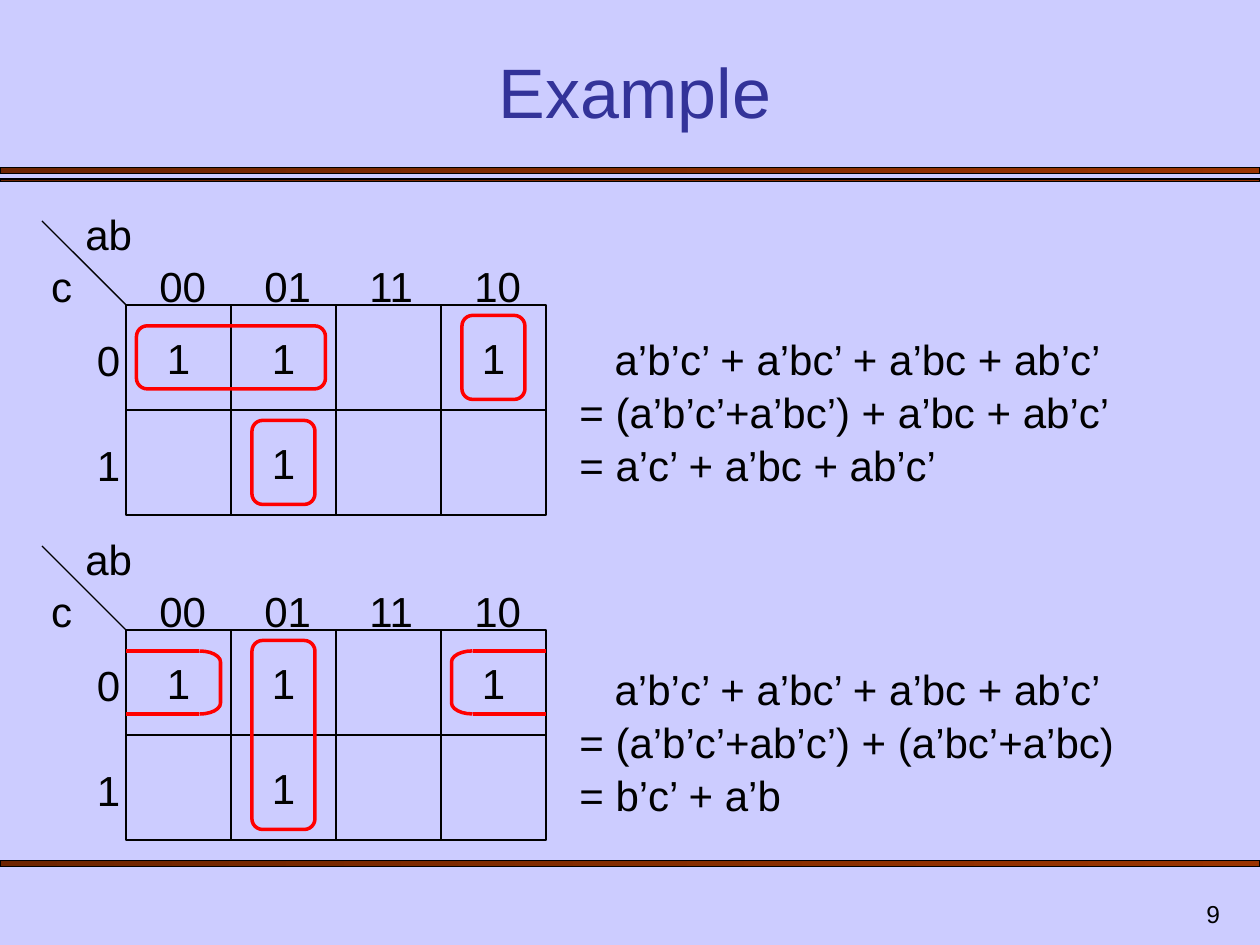
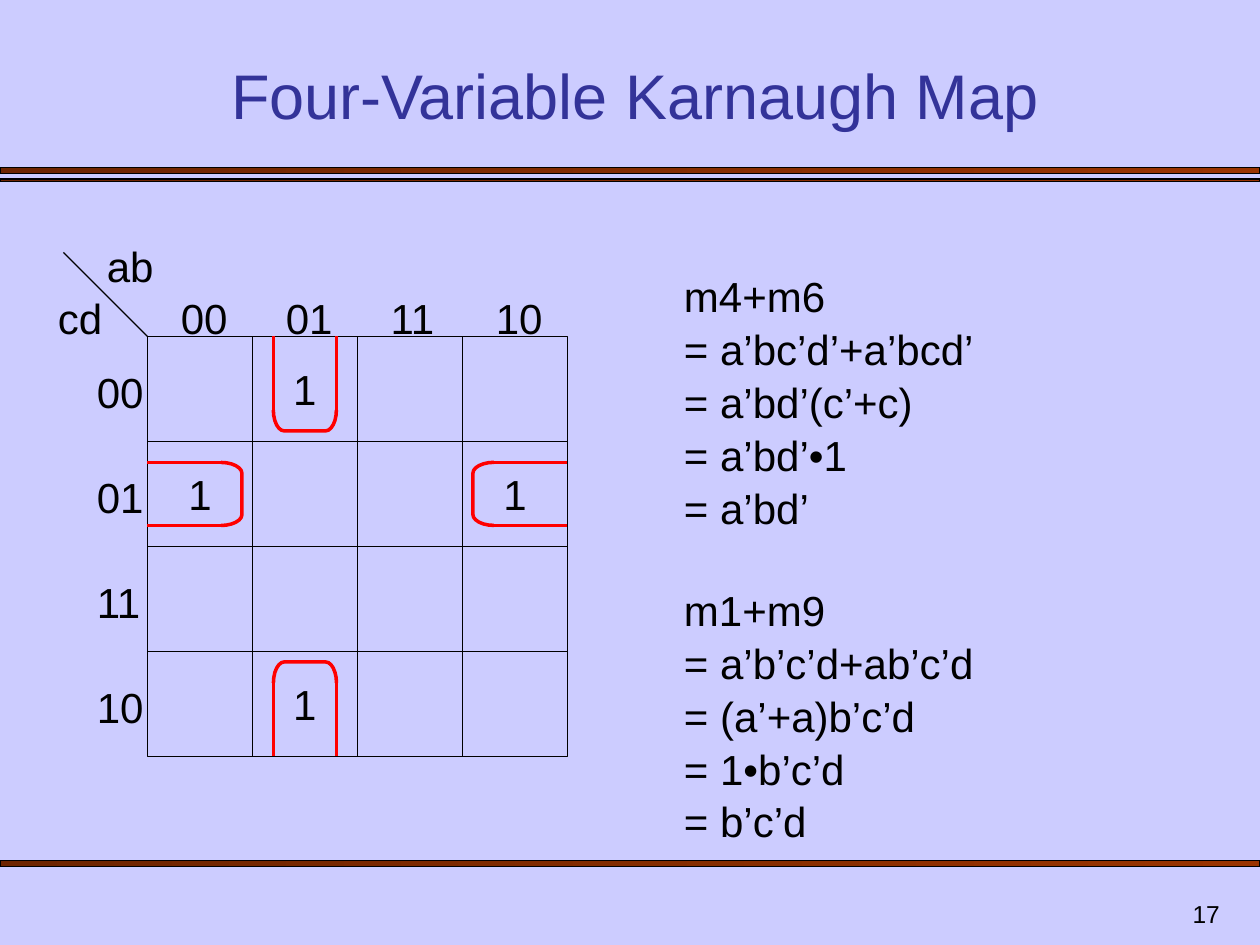
from lxml import etree
from pptx import Presentation
from pptx.dml.color import RGBColor
from pptx.enum.shapes import MSO_CONNECTOR, MSO_SHAPE
from pptx.enum.text import MSO_ANCHOR, MSO_AUTO_SIZE, PP_ALIGN
from pptx.oxml.ns import qn
from pptx.util import Inches, Pt

COLORS = {
    "background": "CCCCFF",
    "title": "333399",
    "text": "000000",
    "grid": "000000",
    "loop": "FF0000",
    "band_dark": "6D2400",
    "band_light": "993300",
}
FONT = "Arial"
CELL = 5 / 6
STEP = CELL / 5
GRAY_CODE = ["00", "01", "11", "10"]
ROW_LABEL_LEFT = 0.67
OPENINGS = {"right": (1, 0, 0), "down": (0, 1, 90), "left": (-1, 0, 180), "up": (0, -1, 270)}

# Cells are (column, row); a loop adds its column and row spans,
# an open loop the side on which it wraps around the map.
SLIDES = [
    {
        "title": "Example",
        "title_size": 40,
        "number": "9",
        "maps": [
            {
                "left": 1, "top": 2.42, "variable": "c", "variable_right": 0.67,
                "rows": ["0", "1"], "ones": [(0, 0), (1, 0), (3, 0), (1, 1)],
                "loops": [(1, 1, 1, 1), (0, 0, 2, 1), (3, 0, 1, 1)],
                "open_loops": [],
            },
            {
                "left": 1, "top": 5, "variable": "c", "variable_right": 0.67,
                "rows": ["0", "1"], "ones": [(0, 0), (1, 0), (3, 0), (1, 1)],
                "loops": [(1, 0, 1, 2)],
                "open_loops": [(3, 0, "right"), (0, 0, "left")],
            },
        ],
        "formula_indent": 0.28,
        "formulas": [
            (4.5, 2.58, 5.25, 1.3, ["a’b’c’ + a’bc’ + a’bc + ab’c’",
                                    "= (a’b’c’+a’bc’) + a’bc + ab’c’",
                                    "= a’c’ + a’bc + ab’c’"]),
            (4.5, 5.2, 5.25, 1.3, ["a’b’c’ + a’bc’ + a’bc + ab’c’",
                                   "= (a’b’c’+ab’c’) + (a’bc’+a’bc)",
                                   "= b’c’ + a’b"]),
        ],
    },
    {
        "title": "Four-Variable Karnaugh Map",
        "title_size": 36,
        "number": "17",
        "maps": [
            {
                "left": 1.17, "top": 2.67, "variable": "cd", "variable_right": 0.91,
                "rows": GRAY_CODE, "ones": [(1, 0), (0, 1), (3, 1), (1, 3)],
                "loops": [],
                "open_loops": [(0, 1, "left"), (3, 1, "right"), (1, 3, "down"), (1, 0, "up")],
            },
        ],
        "formula_indent": 0,
        "formulas": [
            (5.33, 2.08, 3.75, 2.1, ["m4+m6", "= a’bc’d’+a’bcd’", "= a’bd’(c’+c)",
                                     "= a’bd’•1", "= a’bd’"]),
            (5.33, 4.57, 3.75, 2.1, ["m1+m9", "= a’b’c’d+ab’c’d", "= (a’+a)b’c’d",
                                     "= 1•b’c’d", "= b’c’d"]),
        ],
    },
]


def add_text(slide, left, top, width, height, lines, size=24, align=PP_ALIGN.LEFT):
    box = slide.shapes.add_textbox(Inches(left), Inches(top), Inches(width), Inches(height))
    frame = box.text_frame
    frame.word_wrap = True
    frame.text = "\n".join(lines)
    for paragraph in frame.paragraphs:
        paragraph.alignment = align
        paragraph.line_spacing = 1.05
        paragraph.font.name = FONT
        paragraph.font.size = Pt(size)
        paragraph.font.color.rgb = RGBColor.from_string(COLORS["text"])
    return frame


def add_line(slide, x1, y1, x2, y2, color, width):
    line = slide.shapes.add_connector(
        MSO_CONNECTOR.STRAIGHT, Inches(x1), Inches(y1), Inches(x2), Inches(y2))
    line.line.color.rgb = RGBColor.from_string(COLORS[color])
    line.line.width = Pt(width)
    etree.SubElement(line._element.spPr, qn("a:effectLst"))


presentation = Presentation()
presentation.slide_width = Inches(10)
presentation.slide_height = Inches(7.5)
master = presentation.slide_master
master.background.fill.solid()
master.background.fill.fore_color.rgb = RGBColor.from_string(COLORS["background"])
title_layout = presentation.slide_layouts[5]
slides = [presentation.slides.add_slide(title_layout) for _ in SLIDES]

# Bands are drawn on a slide, then moved to the master that both slides share.
for top, height in [(1.33, 0.05), (1.42, 0.02), (6.83, 0.05)]:
    band = slides[0].shapes.add_shape(
        MSO_SHAPE.RECTANGLE, 0, Inches(top), Inches(10), Inches(height))
    band.shadow.inherit = False
    band.fill.gradient()
    band.fill.gradient_angle = 0
    for stop, color in zip(band.fill.gradient_stops, ["band_dark", "band_light"]):
        stop.color.rgb = RGBColor.from_string(COLORS[color])
    band.line.color.rgb = RGBColor.from_string(COLORS["grid"])
    band.line.width = Pt(0.75)
    master.shapes.element.append(band._element)

for slide, content in zip(slides, SLIDES):
    title = slide.shapes.title
    title.left, title.top = Inches(0.58), Inches(0.42)
    title.width, title.height = Inches(8.92), Inches(0.68)
    title.text_frame.text = content["title"]
    title.text_frame.auto_size = MSO_AUTO_SIZE.NONE
    title.text_frame.vertical_anchor = MSO_ANCHOR.BOTTOM
    paragraph = title.text_frame.paragraphs[0]
    paragraph.alignment = PP_ALIGN.CENTER
    paragraph.font.name = FONT
    paragraph.font.size = Pt(content["title_size"])
    paragraph.font.color.rgb = RGBColor.from_string(COLORS["title"])

    number = add_text(slide, 7.7, 7, 2.08, 0.42, [content["number"]], 14, PP_ALIGN.RIGHT)
    number.vertical_anchor = MSO_ANCHOR.BOTTOM

    for karnaugh in content["maps"]:
        left, top = karnaugh["left"], karnaugh["top"]
        add_line(slide, left - 4 * STEP, top - 4 * STEP, left, top, "grid", 0.75)
        add_text(slide, left - 0.42, top - CELL, 0.67, 0.5, ["ab"])
        add_text(slide, karnaugh["variable_right"] - 0.58, top - 0.42, 0.58, 0.5,
                 [karnaugh["variable"]], align=PP_ALIGN.RIGHT)
        for column, label in enumerate(GRAY_CODE):
            add_text(slide, left + STEP + column * CELL, top - 0.42, 0.6, 0.5, [label])

        for row, label in enumerate(karnaugh["rows"]):
            add_text(slide, ROW_LABEL_LEFT, top + STEP + row * CELL, 0.6, 0.5, [label])
            for column in range(len(GRAY_CODE)):
                cell = slide.shapes.add_shape(
                    MSO_SHAPE.RECTANGLE, Inches(left + column * CELL),
                    Inches(top + row * CELL), Inches(CELL), Inches(CELL))
                cell.shadow.inherit = False
                cell.fill.background()
                cell.line.color.rgb = RGBColor.from_string(COLORS["grid"])
                cell.line.width = Pt(0.75)
                if (column, row) in karnaugh["ones"]:
                    cell.text_frame.text = "1"
                    paragraph = cell.text_frame.paragraphs[0]
                    paragraph.alignment = PP_ALIGN.CENTER
                    paragraph.font.name = FONT
                    paragraph.font.size = Pt(24)
                    paragraph.font.color.rgb = RGBColor.from_string(COLORS["text"])

        outlines = []
        for column, row, columns, rows in karnaugh["loops"]:
            inset_x, inset_y = (STEP / 2, STEP) if columns > 1 else (STEP, STEP / 2)
            loop = slide.shapes.add_shape(
                MSO_SHAPE.ROUNDED_RECTANGLE,
                Inches(left + column * CELL + inset_x), Inches(top + row * CELL + inset_y),
                Inches(columns * CELL - 2 * inset_x), Inches(rows * CELL - 2 * inset_y))
            loop.adjustments[0] = 0.17
            outlines.append(loop)

        for column, row, side in karnaugh["open_loops"]:
            dx, dy, rotation = OPENINGS[side]
            center_x = left + (column + 0.5) * CELL
            center_y = top + (row + 0.5) * CELL
            bracket = slide.shapes.add_shape(
                MSO_SHAPE.LEFT_BRACKET,
                Inches(center_x - 1.5 * STEP * dx - STEP / 2),
                Inches(center_y - 1.5 * STEP * dy - 1.5 * STEP),
                Inches(STEP), Inches(3 * STEP))
            bracket.rotation = rotation
            bracket.adjustments[0] = 0.52
            outlines.append(bracket)
            for offset in (-1.5 * STEP, 1.5 * STEP):
                x, y = center_x + offset * dy, center_y + offset * dx
                add_line(slide, x - STEP * dx, y - STEP * dy,
                         x + CELL / 2 * dx, y + CELL / 2 * dy, "loop", 2)

        for outline in outlines:
            outline.shadow.inherit = False
            outline.fill.background()
            outline.line.color.rgb = RGBColor.from_string(COLORS["loop"])
            outline.line.width = Pt(2)

    for left, top, width, height, lines in content["formulas"]:
        formula = add_text(slide, left, top, width, height, lines)
        first_line = formula.paragraphs[0]._p.get_or_add_pPr()
        first_line.set("marL", str(Inches(content["formula_indent"])))

presentation.save("out.pptx")
